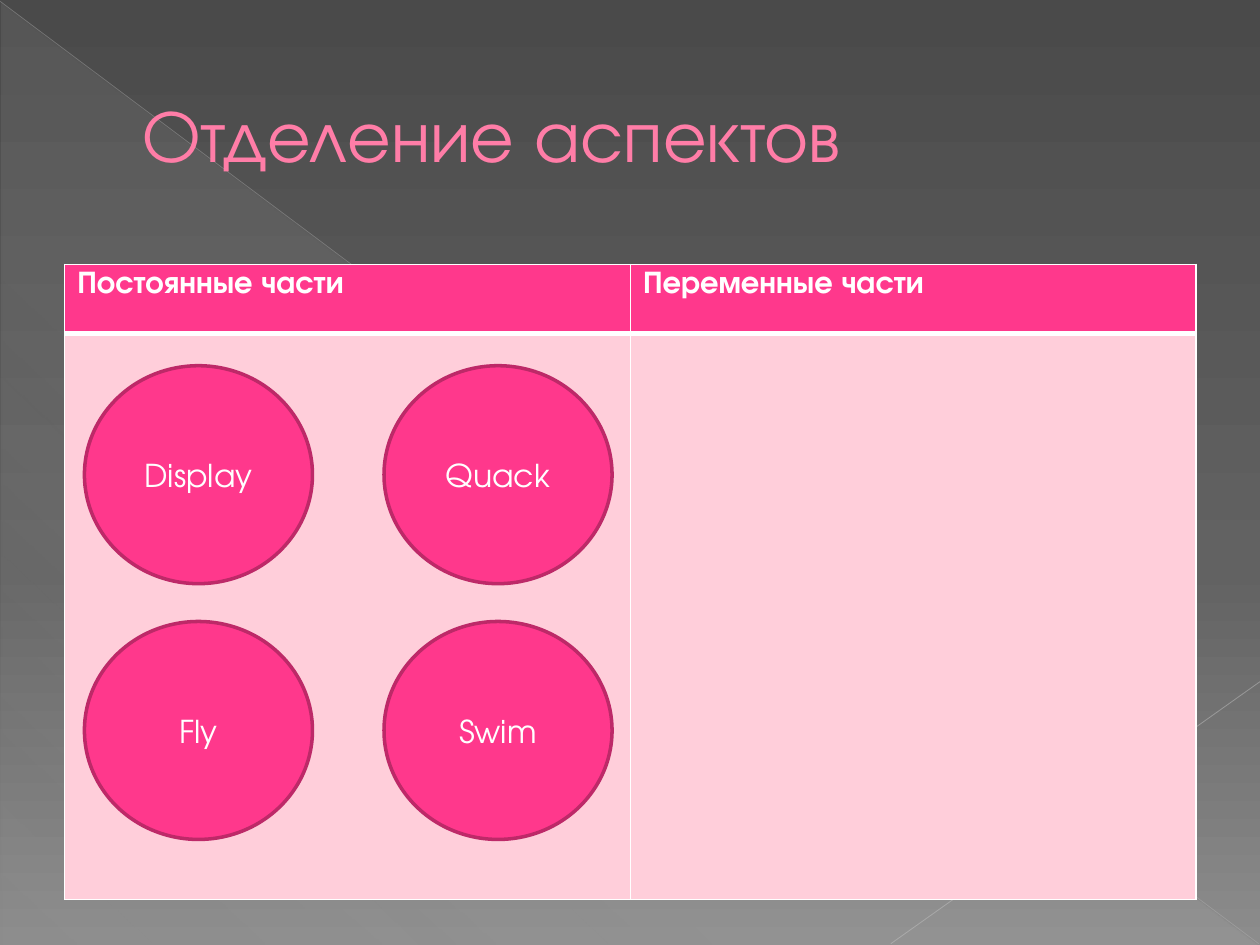
from dataclasses import dataclass

from lxml import etree
from pptx import Presentation
from pptx.dml.color import RGBColor
from pptx.enum.shapes import MSO_CONNECTOR, MSO_SHAPE
from pptx.enum.text import MSO_ANCHOR, MSO_AUTO_SIZE, PP_ALIGN
from pptx.oxml.ns import qn
from pptx.util import Pt

STRAIGHT = MSO_CONNECTOR.STRAIGHT
RIGHT_TRIANGLE = MSO_SHAPE.RIGHT_TRIANGLE
CIRCLE = MSO_SHAPE.FLOWCHART_CONNECTOR
MIDDLE = MSO_ANCHOR.MIDDLE
NO_FIT = MSO_AUTO_SIZE.NONE
LEFT, CENTER = PP_ALIGN.LEFT, PP_ALIGN.CENTER
TITLE_ONLY = 5

# Lengths in points; boxes are left, top, width, height.
SLIDE_WIDTH, SLIDE_HEIGHT = 720, 540
SHEEN_BOX = (0.72, 1.44, 718.56, 538.56)
TITLE_BOX = (36, 20.88, 648, 110.16)
TITLE_INDENT = 38.16
TABLE_LEFT, TABLE_TOP = 37, 151
COLUMN_WIDTH = 323.28
HEADING_HEIGHT, BODY_HEIGHT = 39.6, 323.28
THIN_BORDER, HEADING_RULE = 1, 3
GRID_LEFT, GRID_TOP = 48.24, 209
CIRCLE_WIDTH, CIRCLE_HEIGHT = 130.32, 124.56
COLUMN_STEP, ROW_STEP = 171.2, 146.16

HEADINGS = ("Постоянные части", "Переменные части")
METHODS = (("Display", "Quack"),
           ("Fly", "Swim"))


@dataclass(frozen=True)
class Theme:
    """Colours, font and type sizes; gradient stops are place, colour, opacity."""
    font: str = "TeX Gyre Adventor"
    title_size: float = 42
    text_size: float = 18
    title: str = "FF7DA7"
    title_outline: str = "B12761"
    accent: str = "FF388C"
    accent_edge: str = "BD2968"
    pale: str = "FFCEDA"
    white: str = "FFFFFF"
    long_ray: str = "BFBFBF"
    short_ray: str = "C6C6C6"
    backdrop: tuple = ((0, "4A4A4A", 100), (60, "626262", 100),
                       (100, "8C8C8C", 100))
    sheen: tuple = ((0, "D2D2D2", 10), (70, "D2D2D2", 8), (100, "D2D2D2", 1))


THEME = Theme()


def find_first(element, tag):
    """Return the first descendant of an XML element with the given tag."""
    return next(element.iter(qn(tag)))


def set_opacity(color_element, percent):
    """Make an XML colour translucent."""
    etree.SubElement(color_element, qn("a:alpha"), val=str(percent * 1000))


def make_line(parent, tag, width, color):
    """Append a solid line element to an XML parent and return it."""
    line = etree.SubElement(parent, qn(tag), w=str(Pt(width)))
    solid = etree.SubElement(line, qn("a:solidFill"))
    etree.SubElement(solid, qn("a:srgbClr"), val=color)
    return line


def set_solid(fill, color):
    """Give a fill one plain colour."""
    fill.solid()
    fill.fore_color.rgb = RGBColor.from_string(color)


def set_gradient(fill, owner, stops, clockwise_angle):
    """Give a fill, held by the XML owner, its gradient stops and angle."""
    fill.gradient()
    fill.gradient_angle = 360 - clockwise_angle
    stop_list = find_first(owner, "a:gsLst")
    for default_stop in list(stop_list):
        stop_list.remove(default_stop)
    for place, color, opacity in stops:
        stop = etree.SubElement(stop_list, qn("a:gs"), pos=str(place * 1000))
        rgb = etree.SubElement(stop, qn("a:srgbClr"), val=color)
        if opacity < 100:
            set_opacity(rgb, opacity)


def add_run(paragraph, text, size, color, bold=False):
    """Add one formatted run to a paragraph."""
    run = paragraph.add_run()
    run.text = text
    run.font.name = THEME.font
    run.font.size = Pt(size)
    run.font.bold = bold
    run.font.color.rgb = RGBColor.from_string(color)


def add_sheen(slide):
    """Add the translucent triangle behind the content."""
    sheen = slide.shapes.add_shape(RIGHT_TRIANGLE, *map(Pt, SHEEN_BOX))
    sheen.shadow.inherit = False
    sheen.line.fill.background()
    set_gradient(sheen.fill, sheen.element, THEME.sheen, 133)


def add_ray(slide, start, end, width, color, opacity):
    """Add a thin translucent line from start to end."""
    ray = slide.shapes.add_connector(STRAIGHT, *map(Pt, start + end))
    ray.line.width = Pt(width)
    ray.line.color.rgb = RGBColor.from_string(color)
    set_opacity(find_first(ray.element, "a:srgbClr"), opacity)
    etree.SubElement(ray.element.spPr, qn("a:effectLst"))


def add_title(slide, text):
    """Fill the title placeholder and bring it in front of the backdrop."""
    title = slide.shapes.title
    title.left, title.top, title.width, title.height = map(Pt, TITLE_BOX)
    frame = title.text_frame
    frame.auto_size = NO_FIT
    frame.word_wrap = True
    frame.vertical_anchor = MIDDLE
    paragraph = frame.paragraphs[0]
    paragraph.alignment = LEFT
    add_run(paragraph, text, THEME.title_size, THEME.title)

    paragraph_properties = find_first(title.element, "a:pPr")
    paragraph_properties.set("marL", str(Pt(TITLE_INDENT)))
    paragraph_properties.set("indent", "0")
    run_properties = find_first(title.element, "a:rPr")
    outline = make_line(run_properties, "a:ln", 0.5, THEME.title_outline)
    run_properties.insert(0, outline)
    slide.shapes.element.append(title.element)


def style_row(row, row_element, color, top, bottom):
    """Give each cell of a table row its fill and white borders."""
    borders = {"a:lnL": THIN_BORDER, "a:lnR": THIN_BORDER,
               "a:lnT": top, "a:lnB": bottom}
    for cell, cell_element in zip(row.cells, row_element.iter(qn("a:tc"))):
        cell_properties = cell_element.get_or_add_tcPr()
        for tag, width in borders.items():
            make_line(cell_properties, tag, width, THEME.white)
        set_solid(cell.fill, color)


def add_parts_table(slide, headings):
    """Add the table with a heading row above one tall open row."""
    frame = slide.shapes.add_table(
        2, len(headings), Pt(TABLE_LEFT), Pt(TABLE_TOP),
        Pt(COLUMN_WIDTH * len(headings)), Pt(HEADING_HEIGHT + BODY_HEIGHT))
    table = frame.table
    for column in table.columns:
        column.width = Pt(COLUMN_WIDTH)
    heading_row, body_row = table.rows
    heading_row.height, body_row.height = Pt(HEADING_HEIGHT), Pt(BODY_HEIGHT)
    for cell, heading in zip(heading_row.cells, headings):
        add_run(cell.text_frame.paragraphs[0], heading, THEME.text_size,
                THEME.white, bold=True)
    heading_element, body_element = frame.element.iter(qn("a:tr"))
    style_row(heading_row, heading_element, THEME.accent,
              top=THIN_BORDER, bottom=HEADING_RULE)
    style_row(body_row, body_element, THEME.pale,
              top=HEADING_RULE, bottom=THIN_BORDER)


def add_method(slide, text, column, row):
    """Add a method circle at its place in the grid."""
    circle = slide.shapes.add_shape(
        CIRCLE, Pt(GRID_LEFT + column * COLUMN_STEP),
        Pt(GRID_TOP + row * ROW_STEP), Pt(CIRCLE_WIDTH), Pt(CIRCLE_HEIGHT))
    circle.shadow.inherit = False
    set_solid(circle.fill, THEME.accent)
    circle.line.color.rgb = RGBColor.from_string(THEME.accent_edge)
    circle.line.width = Pt(2)
    frame = circle.text_frame
    frame.word_wrap = True
    frame.vertical_anchor = MIDDLE
    paragraph = frame.paragraphs[0]
    paragraph.alignment = CENTER
    add_run(paragraph, text, THEME.text_size, THEME.white)


def main():
    """Build the slide and save it."""
    deck = Presentation()
    deck.slide_width, deck.slide_height = Pt(SLIDE_WIDTH), Pt(SLIDE_HEIGHT)
    slide = deck.slides.add_slide(deck.slide_layouts[TITLE_ONLY])
    set_gradient(slide.background.fill, slide.element, THEME.backdrop, 90)
    add_sheen(slide)
    add_ray(slide, (0, 0.72), (719.28, 539.28), 0.39, THEME.long_ray, 35)
    add_ray(slide, (720, 389.52), (509.04, 539.28), 0.47, THEME.short_ray, 45)
    add_parts_table(slide, HEADINGS)
    add_title(slide, "Отделение аспектов")
    for row, methods in enumerate(METHODS):
        for column, method in enumerate(methods):
            add_method(slide, method, column, row)
    deck.save("out.pptx")


if __name__ == "__main__":
    main()
